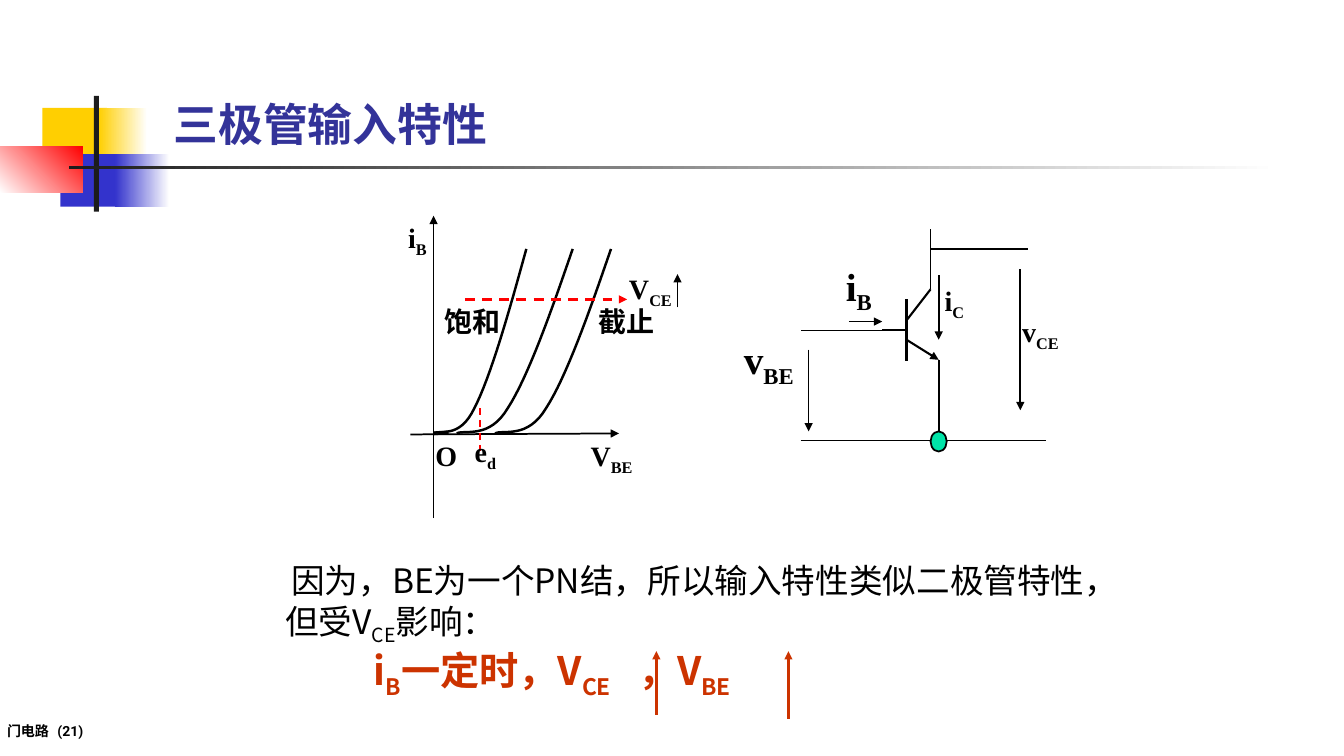
"""Build the slide on the input curves of a transistor."""
from dataclasses import dataclass

import lxml.etree
import pptx
import pptx.dml.color
import pptx.enum.dml
import pptx.enum.shapes
import pptx.enum.text
import pptx.oxml.ns
import pptx.util

Inches = pptx.util.Inches
qn = pptx.oxml.ns.qn
Kind = pptx.enum.shapes.MSO_SHAPE
Fit = pptx.enum.text.MSO_AUTO_SIZE


@dataclass(frozen=True)
class Theme:
    serif: str = "Times New Roman"
    sans: str = "Noto Sans CJK SC"
    foot: str = "Roboto"
    black: str = "000000"
    white: str = "FFFFFF"
    dark: str = "1C1C1C"
    red: str = "FF0000"
    gold: str = "FFCF01"
    blue: str = "3333CC"
    title: str = "333399"
    rust: str = "CC3300"
    green: str = "00E4A8"
    tiny: int = 10
    small: int = 20
    body: int = 24
    large: int = 28
    head: int = 32


THEME = Theme()


@dataclass
class Block:
    box: tuple
    fill: str
    fade: str = ""
    angle: int = 0


@dataclass
class Wire:
    start: tuple
    end: tuple
    width: float = 1.25
    color: str = THEME.black
    arrow: bool = False
    dash: bool = False


@dataclass
class Label:
    text: str
    sub: str
    box: tuple
    size: int = THEME.small
    font: str = THEME.serif


BLOCKS = [
    Block((0.42, 1.07, 0.64, 0.52), THEME.gold),
    Block((0.98, 1.07, 0.48, 0.52), THEME.gold, THEME.white),
    Block((0.6, 1.53, 0.62, 0.52), THEME.blue),
    Block((1.14, 1.53, 0.54, 0.52), THEME.blue, THEME.white),
    Block((0, 1.45, 0.82, 0.46), THEME.white, THEME.red, 45),
    Block((0.93, 0.95, 0.05, 1.15), THEME.dark),
    Block((0.68, 1.65, 12, 0.03), THEME.dark, THEME.white),
]
GRAPH = [
    Wire((4.07, 4.31), (6.14, 4.3), arrow=True),
    Wire((4.3, 5.14), (4.3, 2.14), arrow=True),
    Wire((4.45, 4.3), (4.3, 4.31)),
    Wire((4.45, 4.28), (4.3, 4.29)),
    Wire((4.76, 4.05), (4.76, 4.47), color=THEME.red, dash=True),
    Wire((4.61, 2.97), (6.22, 2.97), 1.75, THEME.red, True, True),
    Wire((6.72, 3.05), (6.72, 2.72), arrow=True),
]
CIRCUIT = [
    Wire((8.99, 2.97), (8.99, 3.58), 2),
    Wire((8.99, 3.37), (9.31, 3.57), 1.5, arrow=True),
    Wire((8.99, 3.18), (9.23, 2.87), 1.5),
    Wire((9.23, 2.87), (9.23, 2.57)),
    Wire((9.31, 3.57), (9.31, 3.87)),
    Wire((8.75, 3.27), (8.99, 3.27), 1.5),
    Wire((9.23, 2.57), (9.23, 2.27)),
    Wire((9.31, 3.87), (9.31, 4.37)),
    Wire((7.94, 4.37), (10.37, 4.37)),
    Wire((8.86, 3.28), (7.94, 3.28)),
    Wire((9.23, 2.47), (10.2, 2.47)),
    Wire((9.31, 2.73), (9.31, 3.37), arrow=True),
    Wire((8.02, 3.47), (8.02, 4.28), arrow=True),
    Wire((8.42, 3.19), (8.75, 3.19), arrow=True),
    Wire((10.12, 2.67), (10.12, 4.07), arrow=True),
]
RISES = [
    Wire((6.51, 7.09), (6.51, 6.46), 1.75, THEME.rust, True),
    Wire((7.82, 7.13), (7.82, 6.46), 1.75, THEME.rust, True),
]
LABELS = [
    Label("i", "B", (3.95, 2.14, 0.4, 0.44)),
    Label("O", "", (4.22, 4.3, 0.42, 0.43)),
    Label("V", "BE", (5.76, 4.3, 0.83, 0.43)),
    Label("e", "d", (4.61, 4.26, 0.43, 0.44)),
    Label("V", "CE", (6.14, 2.64, 0.66, 0.44)),
    Label("饱和", "", (4.31, 2.97, 0.76, 0.43), font=THEME.sans),
    Label("截止", "", (5.84, 2.97, 0.76, 0.43), font=THEME.sans),
    Label("i", "C", (9.27, 2.76, 0.41, 0.44)),
    Label("v", "BE", (7.28, 3.28, 0.75, 0.57), THEME.large),
    Label("i", "B", (8.29, 2.55, 0.49, 0.57), THEME.large),
    Label("v", "CE", (10.04, 3.07, 0.6, 0.44)),
]
CURVES = [(4.3, 0.92), (4.53, 1.15), (4.91, 1.15)]
BENDS = [(1, 2.47), (0.81, 3.11), (0.61, 3.75), (0.44, 4.05),
         (0.28, 4.36), (0.07, 4.26), (0, 4.3)]


def paint(color: str):
    return pptx.dml.color.RGBColor.from_string(color)


def write(par, text: str, *, size: int, font: str = THEME.sans,
          color: str = THEME.black, bold: bool = True, sub: bool = False):
    run = par.add_run()
    run.text = text
    run.font.size = pptx.util.Pt(size)
    run.font.name = font
    run.font.bold = bold
    run.font.color.rgb = paint(color)
    props = run.font._element
    lxml.etree.SubElement(props, qn("a:ea"), typeface=font)
    if sub:
        props.set("baseline", "-25000")


def indent(par, first: float, tab: float = 0):
    props = par._p.get_or_add_pPr()
    props.set("indent", str(Inches(first)))
    if tab:
        tabs = lxml.etree.SubElement(props, qn("a:tabLst"))
        lxml.etree.SubElement(tabs, qn("a:tab"), pos=str(Inches(tab)), algn="l")


def frame(slide, box: tuple, wrap: bool = False):
    text = slide.shapes.add_textbox(*map(Inches, box)).text_frame
    text.word_wrap = wrap
    text.auto_size = Fit.SHAPE_TO_FIT_TEXT
    return text


def draw_block(slide, block: Block):
    shape = slide.shapes.add_shape(Kind.RECTANGLE, *map(Inches, block.box))
    shape.shadow.inherit = False
    shape.line.fill.background()
    if block.fade:
        shape.fill.gradient()
        shape.fill.gradient_angle = block.angle
        for stop, color in zip(shape.fill.gradient_stops, (block.fill, block.fade)):
            stop.color.rgb = paint(color)
    else:
        shape.fill.solid()
        shape.fill.fore_color.rgb = paint(block.fill)


def draw_wire(slide, wire: Wire):
    link = slide.shapes.add_connector(
        pptx.enum.shapes.MSO_CONNECTOR.STRAIGHT, *map(Inches, wire.start + wire.end))
    link.line.color.rgb = paint(wire.color)
    link.line.width = pptx.util.Pt(wire.width)
    if wire.dash:
        link.line.dash_style = pptx.enum.dml.MSO_LINE.DASH
    props = link._element.spPr
    if wire.arrow:
        lxml.etree.SubElement(props.find(qn("a:ln")), qn("a:tailEnd"), type="triangle")
    lxml.etree.SubElement(props, qn("a:effectLst"))


def draw_curve(slide, foot: float, width: float, steps: int = 16):
    dots = []
    for first in (0, 3):
        for step in range(steps + 1):
            t = step / steps
            parts = ((1 - t) ** 3, 3 * t * (1 - t) ** 2, 3 * t * t * (1 - t), t ** 3)
            bends = BENDS[first:first + 4]
            dots.append((Inches(foot + width * sum(k * x for k, (x, _) in zip(parts, bends))),
                         Inches(sum(k * y for k, (_, y) in zip(parts, bends)))))
    pen = slide.shapes.build_freeform(*dots[0])
    pen.add_line_segments(dots[1:], close=False)
    shape = pen.convert_to_shape()
    shape.shadow.inherit = False
    shape.fill.background()
    shape.line.color.rgb = paint(THEME.black)
    shape.line.width = pptx.util.Pt(1.75)


def draw_label(slide, label: Label):
    par = frame(slide, label.box).paragraphs[0]
    write(par, label.text, size=label.size, font=label.font)
    if label.sub:
        write(par, label.sub, size=label.size, font=label.font, sub=True)


def draw_node(slide):
    node = slide.shapes.add_shape(Kind.OVAL, *map(Inches, (9.23, 4.28, 0.16, 0.2)))
    node.shadow.inherit = False
    node.fill.solid()
    node.fill.fore_color.rgb = paint(THEME.green)
    node.line.color.rgb = paint(THEME.black)
    node.line.width = pptx.util.Pt(1.25)


def draw_title(slide):
    title = slide.shapes.title
    title.left, title.top, title.width, title.height = map(Inches, (1.62, 0.79, 8.97, 0.75))
    text = title.text_frame
    text.vertical_anchor = pptx.enum.text.MSO_ANCHOR.BOTTOM
    text.auto_size = Fit.NONE
    par = text.paragraphs[0]
    par.alignment = pptx.enum.text.PP_ALIGN.LEFT
    write(par, "三极管输入特性", size=THEME.head, color=THEME.title)


def draw_notes(slide):
    text = frame(slide, (2.73, 5.51, 8.58, 1.38), wrap=True)
    cause, rule = text.paragraphs[0], text.add_paragraph()
    indent(cause, 0.06)
    indent(rule, 0.88, 3.78)
    for part, sub in (("因为，BE为一个PN结，所以输入特性类似二极管特性，但受V", False),
                      ("CE", True), ("影响：", False)):
        write(cause, part, size=THEME.body, bold=False, sub=sub)
    for part, sub in (("i", False), ("B", True), ("一定时，V", False),
                      ("CE", True), ("\t，V", False), ("BE", True)):
        write(rule, part, size=THEME.large, color=THEME.rust, sub=sub)


def draw_foot(slide):
    text = frame(slide, (0, 7.14, 2.36, 0.22), wrap=True)
    text.margin_left = text.margin_right = Inches(0.07)
    text.margin_top = text.margin_bottom = Inches(0.03)
    par = text.paragraphs[0]
    indent(par, 0, 0.54)
    write(par, "门电路\t(21)", size=THEME.tiny, font=THEME.foot)


def main():
    deck = pptx.Presentation()
    deck.slide_width, deck.slide_height = Inches(13.33), Inches(7.5)
    slide = deck.slides.add_slide(deck.slide_layouts[5])
    for block in BLOCKS:
        draw_block(slide, block)
    draw_foot(slide)
    for foot, width in CURVES:
        draw_curve(slide, foot, width)
    for wire in GRAPH + CIRCUIT + RISES:
        draw_wire(slide, wire)
    draw_node(slide)
    for label in LABELS:
        draw_label(slide, label)
    draw_notes(slide)
    draw_title(slide)
    deck.save("out.pptx")


if __name__ == "__main__":
    main()
